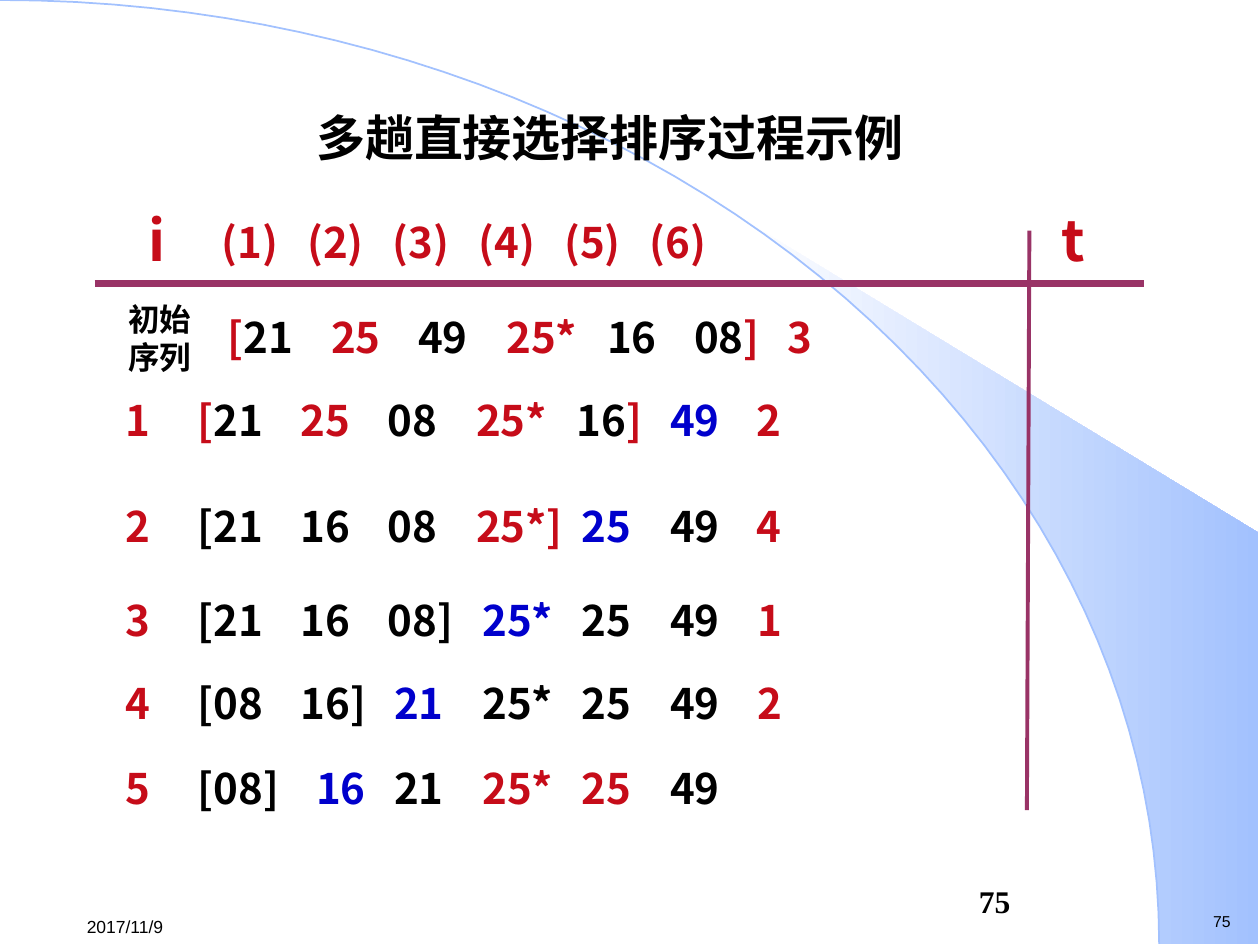
from math import cos, pi, sin

from pptx import Presentation
from pptx.dml.color import RGBColor
from pptx.enum.shapes import MSO_CONNECTOR
from pptx.enum.text import MSO_ANCHOR, PP_ALIGN
from pptx.oxml.ns import qn
from pptx.util import Inches, Pt
from lxml.etree import SubElement

COLORS = {"k": "000000", "r": "C60C19", "b": "0000CC",
          "rule": "993366", "sky": "A2C1FE", "white": "FFFFFF"}
SANS, SERIF, ARIAL = "Noto Sans CJK SC", "Times New Roman", "Arial"
LABEL_X, RESULT_X = 1.0, 6.01
UNSORTED_X = [1.57, 2.39, 3.08, 3.78, 4.58, 5.27]
SORTED_X = [1.57, 2.51, 3.13, 3.83, 4.62, 5.32]
PASSES = [
    (3.08, 8.17, "r1", "r[k21 r25 k08 r25* k16r] b49", "r2"),
    (3.92, 8.33, "r2", "k[21 k16 k08 r25*] b25 k49", "r4"),
    (4.67, 8.25, "r3", "k[21 k16 k08] b25* k25 k49", "r1"),
    (5.33, 8.25, "r4", "k[08 k16] b21 k25* k25 k49", "r2"),
    (6, 8.42, "r5", "k[08] b16 k21 r25* r25 k49", ""),
]


def rgb(name):
    """Return the named colour."""
    return RGBColor.from_string(COLORS[name])


def split_runs(markup):
    """Split markup into [colour, text] runs at each colour letter."""
    runs = []
    for letter in markup:
        if letter in COLORS:
            runs.append([letter, ""])
        else:
            runs[-1][1] += letter
    return runs


def write(paragraph, text, font=SANS, size=24, color="k", bold=True):
    """Add one formatted run to a paragraph."""
    run = paragraph.add_run()
    run.text = text
    run.font.name, run.font.size, run.font.bold = font, Pt(size), bold
    run.font.color.rgb = rgb(color)
    SubElement(run.font._element, qn("a:ea")).set("typeface", SANS)


def arc_points(start, steps=48):
    """Return points on the quarter ellipse from an angle down to zero."""
    angles = [start * (1 - step / steps) for step in range(steps + 1)]
    return [(9.2 * cos(angle), 7.49 * (1 - sin(angle))) for angle in angles]


class SlideBuilder:
    """Holds the style and the current slide."""

    def __init__(self, slide):
        """Keep the slide's shapes."""
        self.shapes = slide.shapes

    def outline(self, points, close):
        """Add a freeform through points given in inches."""
        points = [(Inches(x), Inches(y)) for x, y in points]
        builder = self.shapes.build_freeform(*points[0])
        builder.add_line_segments(points[1:], close=close)
        shape = builder.convert_to_shape()
        shape.shadow.inherit = False
        return shape

    def wedge(self):
        """Add the shaded band to the right of the arc."""
        points = arc_points(0.877) + [(9.99, 7.49), (9.99, 4.23)]
        shape = self.outline(points, True)
        shape.line.fill.background()
        shape.fill.gradient()
        shape.fill.gradient_angle = 0
        for stop, color in zip(shape.fill.gradient_stops, ("white", "sky")):
            stop.color.rgb = rgb(color)

    def arc(self):
        """Add the thin curved line."""
        shape = self.outline(arc_points(pi / 2), False)
        shape.fill.background()
        shape.line.color.rgb = rgb("sky")
        shape.line.width = Pt(1)

    def box(self, left, top, width, height, wrap=True, anchor=MSO_ANCHOR.TOP):
        """Add a text box and return its first paragraph."""
        shape = self.shapes.add_textbox(*map(Inches, (left, top, width, height)))
        shape.text_frame.word_wrap = wrap
        shape.text_frame.vertical_anchor = anchor
        return shape.text_frame.paragraphs[0]

    def tabbed(self, left, top, width, cells):
        """Add a line of (x, markup) cells, each at its own tab stop."""
        paragraph = self.box(left, top, width, 0.5)
        tabs = SubElement(paragraph._p.get_or_add_pPr(), qn("a:tabLst"))
        for x, markup in cells:
            tab = SubElement(tabs, qn("a:tab"))
            tab.set("pos", str(Inches(x - left - 0.1)))
            tab.set("algn", "l")
            for index, (color, text) in enumerate(split_runs(markup)):
                write(paragraph, text if index else "\t" + text, color=color)

    def sort_pass(self, left, top, width, label, numbers, result, shift=0):
        """Add one pass: label, numbers split at the bracket, result."""
        cells = [(LABEL_X, label)] if label else []
        stops = UNSORTED_X
        for index, number in enumerate(numbers.split()):
            cells.append((stops[index] + shift, number))
            if "]" in number:
                stops = SORTED_X
        if result:
            cells.append((RESULT_X + shift, result))
        self.tabbed(left, top, width, cells)

    def rule(self, start, end, width):
        """Add a straight rule between two points."""
        ends = map(Inches, (*start, *end))
        line = self.shapes.add_connector(MSO_CONNECTOR.STRAIGHT, *ends)
        line.line.color.rgb = rgb("rule")
        line.line.width = Pt(width)
        SubElement(line._element.spPr, qn("a:effectLst"))


def main():
    """Build and save the slide."""
    presentation = Presentation()
    presentation.slide_width, presentation.slide_height = Inches(10), Inches(7.5)
    builder = SlideBuilder(presentation.slides.add_slide(presentation.slide_layouts[6]))
    builder.wedge()
    builder.arc()
    write(builder.box(9.53, 7.19, 0.35, 0.25, wrap=False), "75",
          font=ARIAL, size=9, bold=False)
    write(builder.box(0.59, 7.2, 1.02, 0.3, wrap=False, anchor=MSO_ANCHOR.MIDDLE),
          "2017/11/9", font=ARIAL, size=10, bold=False)
    title = builder.box(0.51, 0.76, 8.66, 0.84)
    title.alignment, title.line_spacing = PP_ALIGN.CENTER, 1.1
    write(title, "多趟直接选择排序过程示例", font=SERIF, size=28)
    write(builder.box(7.67, 6.95, 2.33, 0.4), "75", font=SERIF, size=18)

    builder.tabbed(1.29, 1.67, 6.88,
                   [(1.76 + 0.68 * i, f"r({i + 1})") for i in range(6)])
    for left, text in ((1.08, "i"), (8.33, "t")):
        write(builder.box(left, 1.58, 0.5, 0.63), text, size=32, color="r")
    builder.rule((0.75, 2.25), (9.08, 2.25), 4.5)
    builder.rule((8.17, 1.83), (8.15, 6.43), 2.25)

    write(builder.box(0.92, 2.33, 0.83, 0.7), "初始序列", size=18)
    builder.sort_pass(1.42, 2.42, 7.5, "", "r[k21 r25 k49 r25* k16 k08r]", "r3",
                      shift=0.24)
    for top, width, label, numbers, result in PASSES:
        builder.sort_pass(0.75, top, width, label, numbers, result)
    presentation.save("out.pptx")


if __name__ == "__main__":
    main()
